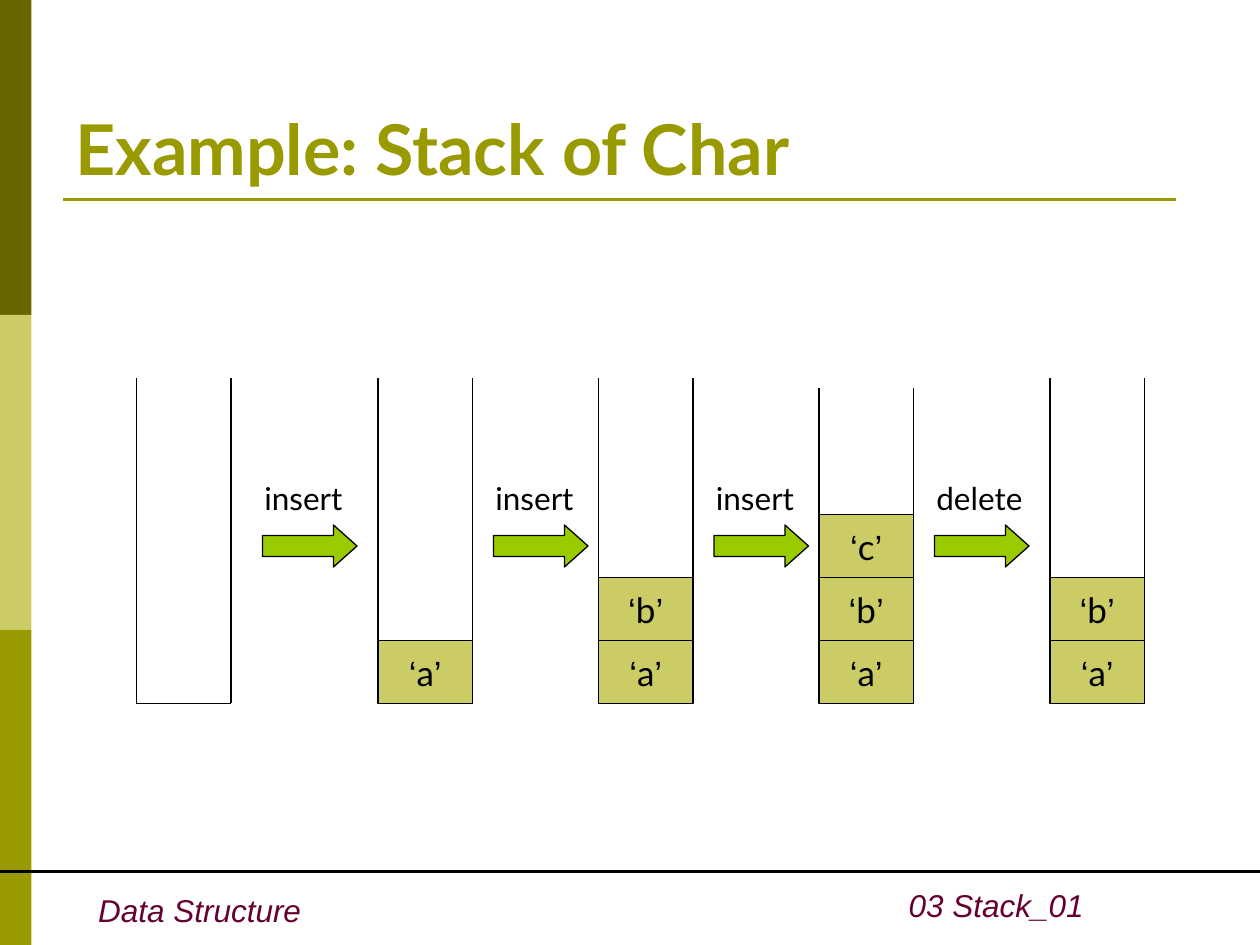
from dataclasses import dataclass

from lxml import etree
from pptx import Presentation
from pptx.dml.color import RGBColor
from pptx.enum import shapes, text
from pptx.oxml import ns
from pptx.util import Inches, Pt

COLS, ROWS = 120, 90
CELL_W, CELL_H, BASE = 9, 6, 67
COLORS = {
    "dark": "666600", "pale": "CCCC66", "olive": "999900",
    "arrow": "99CC00", "footer": "660033", "black": "000000",
}


@dataclass
class Stack:
    left: int
    top: int
    items: str


@dataclass
class Step:
    left: int
    label: str
    width: int = 10


@dataclass
class Label:
    text: str
    left: float
    top: float
    width: float
    height: float
    size: int
    color: str
    font: str = "Lato"
    bold: bool = False
    italic: bool = False
    wrap: bool = True
    align: text.PP_ALIGN = text.PP_ALIGN.LEFT
    anchor: text.MSO_ANCHOR = text.MSO_ANCHOR.TOP


STACKS = [
    Stack(13, 36, ""),
    Stack(36, 36, "a"),
    Stack(57, 36, "ab"),
    Stack(78, 37, "abc"),
    Stack(100, 36, "ab"),
]
STEPS = [Step(25, "insert"), Step(47, "insert"), Step(68, "insert"), Step(89, "delete", 12)]
LABELS = [
    Label("Data Structure", 8.16, 84.24, 21.72, 4.8, 18, "footer", "Arial",
          italic=True, wrap=False),
    Label("03 Stack_01", 83.64, 83.76, 20.76, 4.8, 18, "footer", "Arial",
          italic=True, align=text.PP_ALIGN.RIGHT),
    Label("Example: Stack of Char", 6, 3.6, 108, 15, 40, "olive",
          bold=True, anchor=text.MSO_ANCHOR.BOTTOM),
]

prs = Presentation()
prs.slide_width, prs.slide_height = Inches(10), Inches(7.5)
s = prs.slides.add_slide(prs.slide_layouts[6])


def x(col: float) -> int:
    return round(prs.slide_width * col / COLS)


def y(row: float) -> int:
    return round(prs.slide_height * row / ROWS)


def rgb(name: str) -> RGBColor:
    return RGBColor.from_string(COLORS[name])


def add_line(x1: float, y1: float, x2: float, y2: float,
             color: str = "black", width: float = 0.74) -> None:
    c = s.shapes.add_connector(shapes.MSO_CONNECTOR.STRAIGHT, x(x1), y(y1), x(x2), y(y2))
    c.line.color.rgb = rgb(color)
    c.line.width = Pt(width)
    etree.SubElement(c._element.spPr, ns.qn("a:effectLst"))


def add_block(kind: shapes.MSO_SHAPE, left: float, top: float, width: float,
              height: float, fill: str, outlined: bool = True):
    sp = s.shapes.add_shape(kind, x(left), y(top), x(width), y(height))
    sp.shadow.inherit = False
    sp.fill.solid()
    sp.fill.fore_color.rgb = rgb(fill)
    if outlined:
        sp.line.color.rgb = rgb("black")
        sp.line.width = Pt(0.74)
    else:
        sp.line.fill.background()
    return sp


def add_label(label: Label) -> None:
    sp = s.shapes.add_textbox(x(label.left), y(label.top), x(label.width), y(label.height))
    tf = sp.text_frame
    tf.word_wrap = label.wrap
    tf.vertical_anchor = label.anchor
    p = tf.paragraphs[0]
    p.text = label.text
    p.alignment = label.align
    p.font.name = label.font
    p.font.size = Pt(label.size)
    p.font.bold = label.bold
    p.font.italic = label.italic
    p.font.color.rgb = rgb(label.color)


def add_cell(char: str, left: float, top: float) -> None:
    sp = add_block(shapes.MSO_SHAPE.RECTANGLE, left, top, CELL_W, CELL_H, "pale")
    tf = sp.text_frame
    tf.word_wrap = False
    tf.vertical_anchor = text.MSO_ANCHOR.MIDDLE
    p = tf.paragraphs[0]
    p.alignment = text.PP_ALIGN.CENTER
    p.font.size = Pt(20)
    p.font.color.rgb = rgb("black")
    for part, font in (("‘", "Arial"), (char, "Lato"), ("’", "Arial")):
        r = p.add_run()
        r.text = part
        r.font.name = font


def add_stack(stack: Stack) -> None:
    right = stack.left + CELL_W
    level = BASE - CELL_H * len(stack.items)
    add_line(stack.left, level, right, level)
    for side in (stack.left, right):
        add_line(side, stack.top, side, level)
    for i, char in enumerate(stack.items, 1):
        add_cell(char, stack.left, BASE - CELL_H * i)


def add_step(step: Step) -> None:
    sp = add_block(shapes.MSO_SHAPE.RIGHT_ARROW, step.left, 50, 9, 4, "arrow")
    sp.adjustments[0], sp.adjustments[1] = 0.5, 0.56
    add_label(Label(step.label, step.left - 1, 45, step.width, 4.8, 18, "black"))


for i, shade in enumerate(("dark", "pale", "olive")):
    add_block(shapes.MSO_SHAPE.RECTANGLE, 0, i * ROWS / 3, 3, ROWS / 3, shade, False)
add_line(6, 19, 112, 19, "olive", 1.5)
add_line(0, 83, COLS, 83, "black", 2.24)
for label in LABELS:
    add_label(label)
for stack in STACKS:
    add_stack(stack)
for step in STEPS:
    add_step(step)

prs.save("out.pptx")
